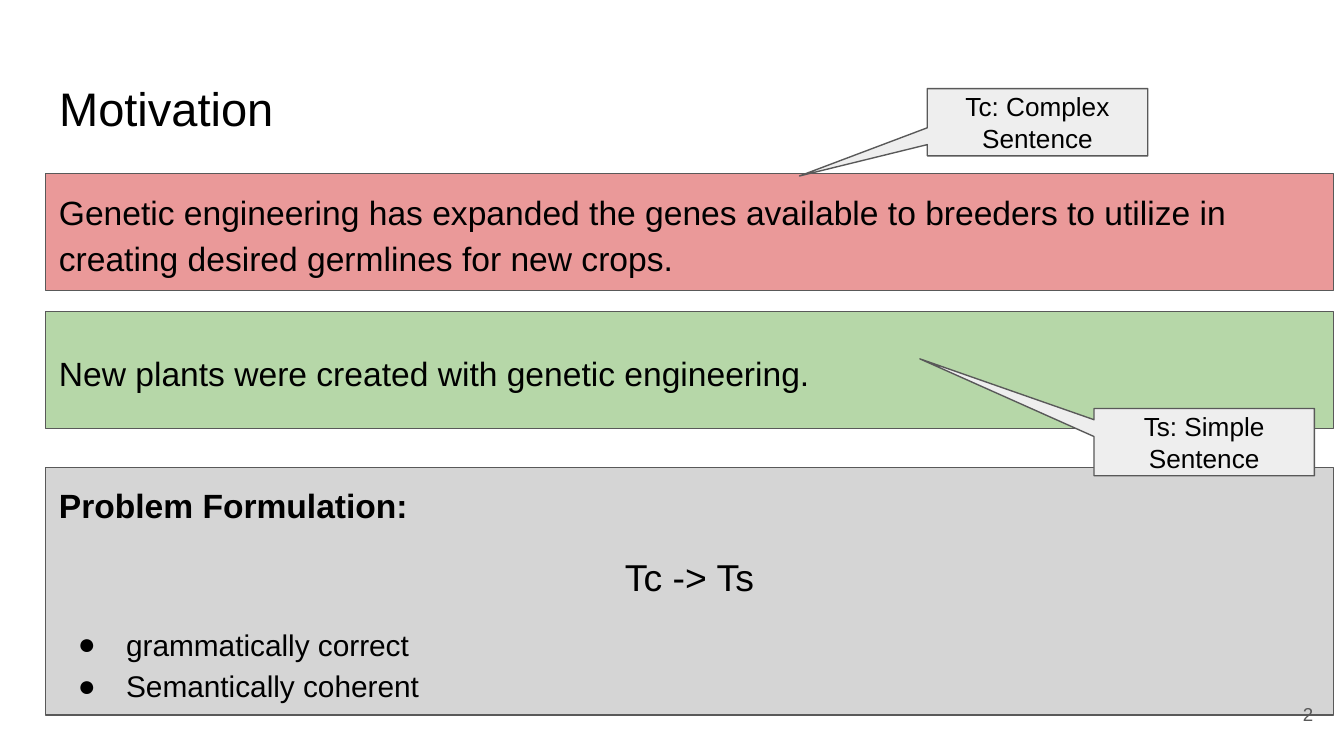
from dataclasses import dataclass

from lxml import etree
from pptx import Presentation
from pptx import util as u
from pptx.dml.color import RGBColor
from pptx.enum import shapes, text
from pptx.oxml.ns import qn


@dataclass(frozen=True)
class Theme:
    font: str = "Arial"
    ink: str = "000000"
    outline: str = "595959"
    complex_fill: str = "EA9999"
    simple_fill: str = "B6D7A8"
    problem_fill: str = "D5D5D5"
    callout_fill: str = "EEEEEE"
    title: float = 25.2
    formula: float = 20
    body: float = 18
    bullet: float = 16
    label: float = 14
    number: float = 10


THEME = Theme()
WIDTH = 10
HEIGHT = WIDTH * 9 / 16
LEFT = 0.034 * WIDTH
BAND_WIDTH = 0.958 * WIDTH
BAND_HEIGHT = 0.87
CALLOUT_SIZE = (1.64, 0.5)
ALIGN = text.PP_ALIGN


def place(shape, left, top, width, height):
    shape.left, shape.top = u.Inches(left), u.Inches(top)
    shape.width, shape.height = u.Inches(width), u.Inches(height)


def prepare_frame(shape, anchor=text.MSO_ANCHOR.MIDDLE):
    frame = shape.text_frame
    frame.word_wrap = True
    frame.auto_size = text.MSO_AUTO_SIZE.NONE
    frame.vertical_anchor = anchor
    frame.margin_left = frame.margin_right = u.Inches(0.1)
    frame.margin_top = frame.margin_bottom = u.Inches(0.1)
    return frame


def add_bullet(paragraph):
    properties = paragraph._p.get_or_add_pPr()
    properties.set("marL", str(u.Inches(0.5)))
    properties.set("indent", str(u.Inches(-0.36)))
    color = etree.SubElement(properties, qn("a:buClr"))
    etree.SubElement(color, qn("a:srgbClr"), val=THEME.ink)
    etree.SubElement(properties, qn("a:buFont"), typeface=THEME.font)
    etree.SubElement(properties, qn("a:buChar"), char="●")


def write(frame, words, size=THEME.body, color=THEME.ink, bold=False,
          align=ALIGN.LEFT, spacing=1.0, before=0, after=0, bullet=False):
    first = frame.paragraphs[0]
    paragraph = frame.add_paragraph() if first.runs else first
    paragraph.alignment = align
    paragraph.line_spacing = spacing
    paragraph.space_before, paragraph.space_after = u.Pt(before), u.Pt(after)
    if bullet:
        add_bullet(paragraph)
    run = paragraph.add_run()
    run.text = words
    run.font.name, run.font.size, run.font.bold = THEME.font, u.Pt(size), bold
    run.font.color.rgb = RGBColor.from_string(color)


def add_box(slide, kind, fill, *box):
    shape = slide.shapes.add_shape(kind, *map(u.Inches, box))
    shape.shadow.inherit = False
    shape.fill.solid()
    shape.fill.fore_color.rgb = RGBColor.from_string(fill)
    shape.line.color.rgb = RGBColor.from_string(THEME.outline)
    shape.line.width = u.Pt(0.75)
    return shape


def add_band(slide, top, fill, height=BAND_HEIGHT):
    return prepare_frame(add_box(slide, shapes.MSO_SHAPE.RECTANGLE, fill,
                                 LEFT, top, BAND_WIDTH, height))


def add_callout(slide, words, left, top, tip):
    shape = add_box(slide, shapes.MSO_SHAPE.RECTANGULAR_CALLOUT,
                    THEME.callout_fill, left, top, *CALLOUT_SIZE)
    shape.adjustments[0], shape.adjustments[1] = tip
    write(prepare_frame(shape), words, size=THEME.label, align=ALIGN.CENTER)


def add_title(slide, words):
    title = slide.shapes.title
    place(title, LEFT, 0.49, WIDTH - 2 * LEFT, 0.63)
    write(prepare_frame(title, text.MSO_ANCHOR.TOP), words, size=THEME.title)


def add_problem(slide):
    frame = add_band(slide, 3.48, THEME.problem_fill, height=1.84)
    write(frame, "Problem Formulation:", bold=True, spacing=1.15)
    write(frame, "Tc -> Ts", size=THEME.formula, align=ALIGN.CENTER,
          spacing=1.15, before=12)
    for words, before in (("grammatically correct", 12), ("Semantically coherent", 0)):
        write(frame, words, size=THEME.bullet, spacing=1.15, before=before, bullet=True)


def add_page_number(slide, number):
    shape = slide.shapes.add_textbox(*map(u.Inches, (9.27, 5.1, 0.6, 0.43)))
    write(prepare_frame(shape), number, size=THEME.number,
          color=THEME.outline, align=ALIGN.RIGHT)


def main():
    presentation = Presentation()
    presentation.slide_width = u.Inches(WIDTH)
    presentation.slide_height = u.Inches(HEIGHT)
    slide = presentation.slides.add_slide(presentation.slide_layouts[5])
    add_title(slide, "Motivation")
    sentences = (
        (1.29, THEME.complex_fill, "Genetic engineering has expanded the genes available "
         "to breeders to utilize in creating desired germlines for new crops."),
        (2.32, THEME.simple_fill, "New plants were created with genetic engineering."),
    )
    for top, fill, words in sentences:
        write(add_band(slide, top, fill), words, spacing=1.15, after=12)
    add_problem(slide)
    add_callout(slide, "Tc: Complex Sentence", 6.9, 0.66, (-1.08, 0.8))
    add_callout(slide, "Ts: Simple Sentence", 8.14, 3.04, (-1.29, -1.24))
    add_page_number(slide, "2")
    presentation.save("out.pptx")


main()
